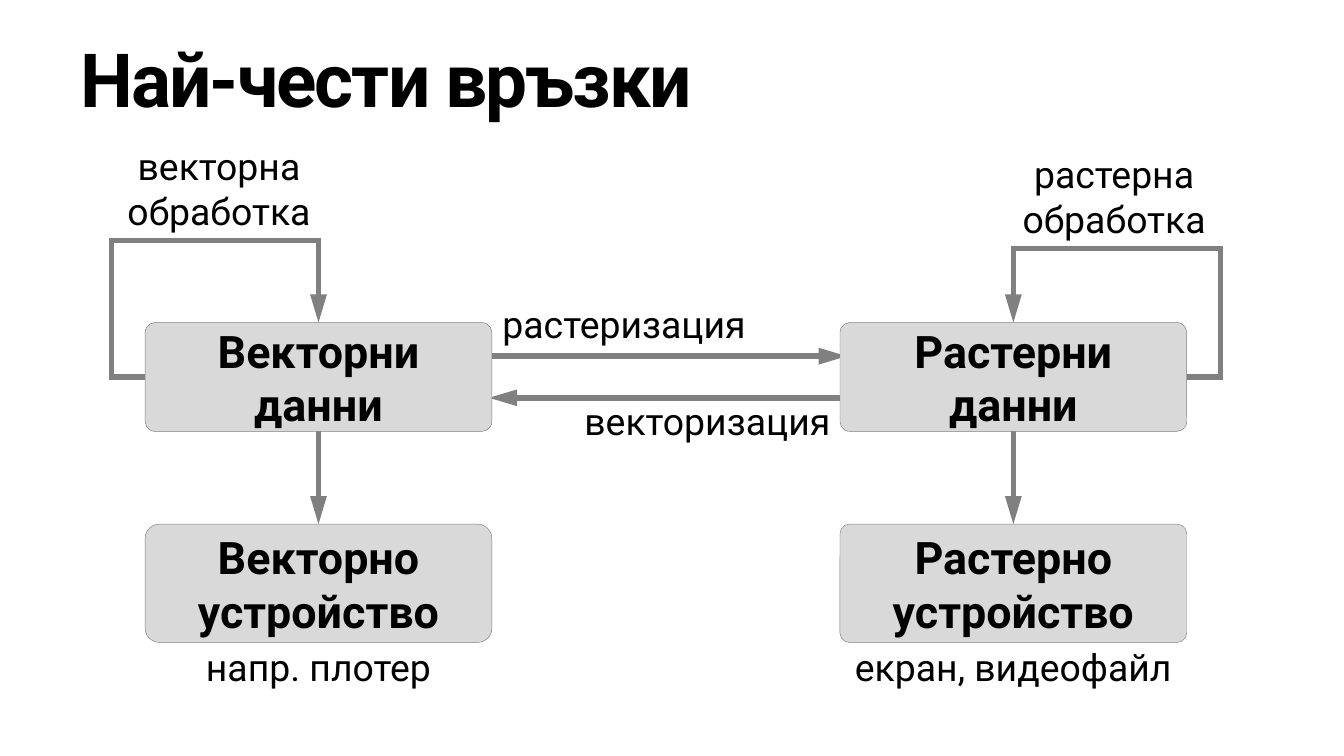
from lxml import etree
from pptx import Presentation
from pptx.dml.color import RGBColor
from pptx.enum import shapes, text
from pptx.oxml import ns
from pptx.util import Inches, Pt

BLACK = RGBColor(0x00, 0x00, 0x00)
GRAY = RGBColor(0x80, 0x80, 0x80)
LIGHT = RGBColor(0xD9, 0xD9, 0xD9)
FONT = "Roboto"


def write(tf, content, size=20, bold=False, align=text.PP_ALIGN.CENTER, spacing=None):
    """Fill a text frame; a newline starts a paragraph, \\v a line break."""
    tf.word_wrap = True
    tf.vertical_anchor = text.MSO_ANCHOR.MIDDLE
    tf.text = content
    for p in tf.paragraphs:
        p.alignment = align
        for r in p.runs:
            r.font.name = FONT
            r.font.size = Pt(size)
            r.font.bold = bold
            r.font.color.rgb = BLACK
            if spacing is not None:
                r.font._element.set("spc", str(spacing * 100))


class Diagram:
    def __init__(self, s):
        self.s = s

    def label(self, content, x, y, w, h, **fmt):
        sp = self.s.shapes.add_textbox(Inches(x), Inches(y), Inches(w), Inches(h))
        write(sp.text_frame, content, **fmt)

    def box(self, content, x, y, h, radius):
        sp = self.s.shapes.add_shape(
            shapes.MSO_SHAPE.ROUNDED_RECTANGLE,
            Inches(x), Inches(y), Inches(BOX_W), Inches(h))
        sp.adjustments[0] = radius
        sp.shadow.inherit = False
        sp.fill.solid()
        sp.fill.fore_color.rgb = LIGHT
        sp.line.color.rgb = GRAY
        sp.line.width = Pt(0.25)
        write(sp.text_frame, content, size=24, bold=True)

    def style_arrow(self, sp):
        sp.line.color.rgb = GRAY
        sp.line.width = Pt(3)
        ln = sp.line._get_or_add_ln()
        etree.SubElement(ln, ns.qn("a:miter"), lim="800000")
        etree.SubElement(ln, ns.qn("a:tailEnd"), type="triangle", w="med", len="lg")

    def arrow(self, x1, y1, x2, y2):
        sp = self.s.shapes.add_connector(
            shapes.MSO_CONNECTOR.STRAIGHT,
            Inches(x1), Inches(y1), Inches(x2), Inches(y2))
        self.style_arrow(sp)
        etree.SubElement(sp._element.spPr, ns.qn("a:effectLst"))

    def loop(self, *points):
        start, *rest = [(Inches(x), Inches(y)) for x, y in points]
        builder = self.s.shapes.build_freeform(*start)
        builder.add_line_segments(rest, close=False)
        sp = builder.convert_to_shape()
        sp.shadow.inherit = False
        sp.fill.background()
        self.style_arrow(sp)


prs = Presentation()
prs.slide_width = Inches(10)
prs.slide_height = prs.slide_width * 9 // 16
d = Diagram(prs.slides.add_slide(prs.slide_layouts[6]))

# Layout: two columns, data boxes above device boxes
VECTOR_X, RASTER_X, BOX_W = 1.08, 6.25, 2.58
DATA_Y, DATA_H = 2.4, 0.81
DEVICE_Y, DEVICE_H = 3.9, 0.88
MID_Y = DATA_Y + DATA_H / 2
LEFT = text.PP_ALIGN.LEFT

# Title
d.label("Най-чести връзки", 0.5, 0.15, 9.5, 0.85,
        size=40, bold=True, align=LEFT, spacing=-1)

# Columns: processing loop, arrow down to the device, example
columns = [
    (VECTOR_X, VECTOR_X - 0.25, VECTOR_X, 1.79,
     "Векторно\nустройство", 0.12, "напр. плотер"),
    (RASTER_X, RASTER_X + BOX_W + 0.25, RASTER_X + BOX_W, 1.85,
     "Растерно устройство", 0.08, "екран, видеофайл"),
]
for x, outer_x, edge_x, top_y, device, radius, example in columns:
    mid_x = x + BOX_W / 2
    d.loop((edge_x, MID_Y), (outer_x, MID_Y), (outer_x, top_y),
           (mid_x, top_y), (mid_x, DATA_Y))
    d.arrow(mid_x, DATA_Y + DATA_H, mid_x, DEVICE_Y)
    d.box(device, x, DEVICE_Y, DEVICE_H, radius)
    d.label(example, mid_x - 1.46, 4.77, 2.92, 0.38)
d.label("векторна обработка", 0.67, 1.09, 1.92, 0.62)
d.label("растерна обработка", 7.25, 1.15, 2.08, 0.62)

# Conversions between the columns
d.arrow(3.63, 2.65, 6.3, 2.65)
d.label("растеризация", 3.64, 2.1, 2.5, 0.62, align=LEFT)
d.arrow(6.33, 2.96, 3.64, 2.96)
d.label("векторизация", 4.25, 2.82, 2.5, 0.62, align=LEFT)

# Data boxes cover the arrow ends
d.box("Растерни\vданни", RASTER_X, DATA_Y, DATA_H, 0.09)
d.box("Векторни\nданни", VECTOR_X, DATA_Y, DATA_H, 0.09)

prs.save("out.pptx")
